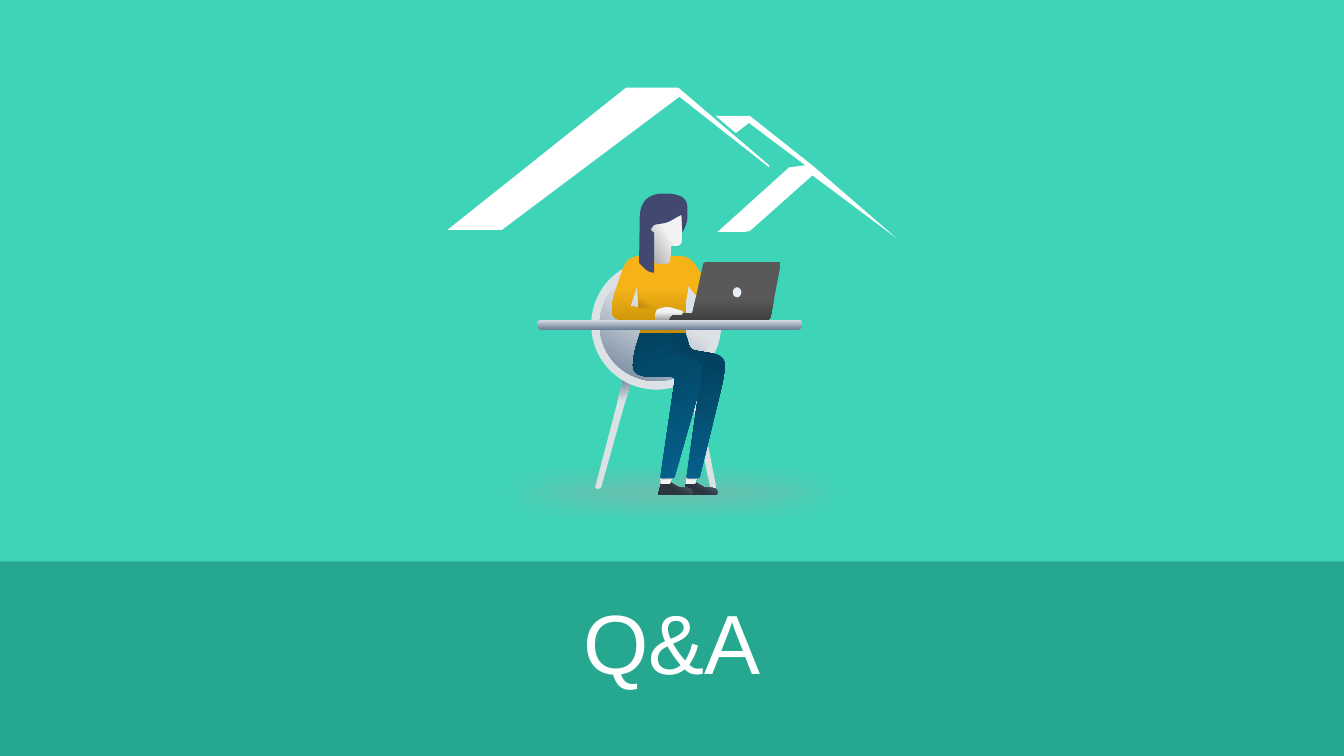
from math import dist

from lxml.etree import SubElement
from pptx import Presentation
from pptx.dml.color import RGBColor
from pptx.enum.shapes import MSO_SHAPE
from pptx.enum.text import MSO_ANCHOR, PP_ALIGN
from pptx.oxml.ns import qn
from pptx.util import Pt

GRID = 0.72  # points per grid unit of the drawing
BEND_STEPS = 8

COLORS = {
    "mint": "3ED4B7", "teal": "25A88F", "white": "FFFFFF", "shadow": "A6A6A6",
    "chair": "DCE1E6", "steel": "6A7E96", "skin": "F2F2F2", "hair": "414971",
    "yellow": "F5B317", "ochre": "C18A08", "laptop": "595959", "charcoal": "404040",
    "badge": "E8ECF4", "slate": "57687C", "shoe": "2C343E", "denim": "05638F",
    "navy": "034260", "blue": "034969", "black": "000000",
}

# Clockwise angle, then stops: position %, colour, opacity %
GRADIENTS = {
    "chair leg": (260, [(0, "chair", 100), (78, "chair", 100), (100, "steel", 100)]),
    "seat": (120, [(0, "chair", 100), (41, "chair", 100), (100, "steel", 100)]),
    "face": (150, [(0, "skin", 100), (41, "skin", 100), (100, "shadow", 100)]),
    "hand": (90, [(0, "skin", 100), (41, "skin", 100), (100, "shadow", 100)]),
    "ankle": (270, [(0, "skin", 100), (50, "skin", 100), (100, "shadow", 100)]),
    "blouse": (90, [(0, "yellow", 100), (41, "yellow", 100), (100, "ochre", 100)]),
    "lid": (90, [(0, "laptop", 100), (63, "laptop", 100), (100, "charcoal", 100)]),
    "leather": (120, [(0, "slate", 100), (55, "shoe", 100), (100, "shoe", 100)]),
    "far trousers": (250, [(0, "denim", 100), (72, "navy", 100), (100, "navy", 100)]),
    "near trousers": (250, [(0, "denim", 100), (72, "blue", 100), (100, "navy", 100)]),
    "desk": (90, [(0, "chair", 100), (100, "steel", 100)]),
    "sleeve shade": (130, [(0, "black", 0), (51, "black", 0), (100, "black", 20)]),
}


def paint(shape, fill):
    """Give a shape a plain or gradient fill, without line or shadow."""
    shape.shadow.inherit = False
    shape.line.fill.background()
    if fill in COLORS:
        shape.fill.solid()
        shape.fill.fore_color.rgb = RGBColor.from_string(COLORS[fill])
        return
    angle, stops = GRADIENTS[fill]
    shape.fill.gradient()
    shape.fill.gradient_angle = 360 - angle
    stop_list = shape._element.spPr.find(".//" + qn("a:gsLst"))
    for old_stop in list(stop_list):
        stop_list.remove(old_stop)
    for position, color, opacity in stops:
        stop = SubElement(stop_list, qn("a:gs"), pos=str(position * 1000))
        value = SubElement(stop, qn("a:srgbClr"), val=COLORS[color])
        SubElement(value, qn("a:alpha"), val=str(opacity * 1000))


def draw_outline(page, fill, *contours):
    """Draw closed contours of corners (x, y) or rounded corners (x, y, radius)."""
    builder = None
    for corners in contours:
        points = []
        for index, (x, y, *radius) in enumerate(corners):
            if not radius:
                points.append((x, y))
                continue
            ends = []
            for neighbour in (corners[index - 1], corners[(index + 1) % len(corners)]):
                side = dist((x, y), neighbour[:2])
                share = min(radius[0] / side, 0.5)
                ends.append((x + share * (neighbour[0] - x), y + share * (neighbour[1] - y)))
            (start_x, start_y), (end_x, end_y) = ends
            for step in range(BEND_STEPS + 1):
                t = step / BEND_STEPS
                before, middle, after = (1 - t) ** 2, 2 * t * (1 - t), t ** 2
                points.append((before * start_x + middle * x + after * end_x,
                               before * start_y + middle * y + after * end_y))
        places = [(Pt(GRID * x), Pt(GRID * y)) for x, y in points]
        if builder is None:
            builder = page.shapes.build_freeform(*places[0], scale=1.0)
        else:
            builder.move_to(*places[0])
        builder.add_line_segments(places[1:], close=True)
    paint(builder.convert_to_shape(), fill)


deck = Presentation()
deck.slide_width, deck.slide_height = Pt(960), Pt(540)
page = deck.slides.add_slide(deck.slide_layouts[6])
page.background.fill.solid()
page.background.fill.fore_color.rgb = RGBColor.from_string(COLORS["mint"])

band = page.shapes.add_shape(MSO_SHAPE.RECTANGLE, 0, Pt(401), Pt(960), Pt(139))
paint(band, "teal")

floor_shadow = page.shapes.add_shape(MSO_SHAPE.OVAL, Pt(246.2), Pt(328.3), Pt(467.3), Pt(46.8))
paint(floor_shadow, "shadow")
effects = floor_shadow._element.spPr.find(qn("a:effectLst"))
SubElement(effects, qn("a:softEdge"), rad=str(Pt(19)))

# Chair: two tapering legs and two concentric discs
for top_x, foot_x in ((686, 708), (622, 593)):
    draw_outline(page, "chair leg", [(top_x - 4, 378), (top_x + 4, 378),
                                     (foot_x + 3, 485, 3), (foot_x - 3, 485, 3)])
seat_x, seat_y = 651, 322
for radius, fill in ((64.5, "chair"), (56, "seat")):
    disc = page.shapes.add_shape(
        MSO_SHAPE.OVAL, Pt(GRID * (seat_x - radius)), Pt(GRID * (seat_y - radius)),
        Pt(GRID * 2 * radius), Pt(GRID * 2 * radius))
    paint(disc, fill)

# Upper body
face = [(677, 213), (645, 224, 4), (645, 231, 3), (648, 231),
        (649, 262, 6), (665, 262, 6), (665, 244, 2), (677, 244, 9)]
draw_outline(page, "face", face)
blouse = [(665, 254), (665, 262, 6), (649, 262, 6), (647, 254),
          (622, 254, 14), (608, 296, 6), (607, 317, 9), (635, 317),
          (635, 331), (680, 331), (680, 300), (683, 284),
          (691, 293), (696, 272), (684, 254, 12)]
arm_gap = [(634, 305), (625, 304, 2), (632, 284)]
draw_outline(page, "blouse", blouse, arm_gap)

# Laptop and the hand on it
laptop = [(698, 260, 3), (775, 260, 3), (764, 317, 3),
          (662, 317), (664, 311, 4), (687, 311)]
draw_outline(page, "lid", laptop)
hand = [(650, 317), (651, 307, 3), (662, 304, 5), (679, 309, 3),
        (676, 312), (666, 312, 3), (663, 317)]
draw_outline(page, "hand", hand)
badge = page.shapes.add_shape(MSO_SHAPE.OVAL, Pt(GRID * 727), Pt(GRID * 285),
                              Pt(GRID * 8.5), Pt(GRID * 10))
paint(badge, "badge")

# Feet, far one first, each measured from its heel
for heel in (678, 653):
    draw_outline(page, "leather", [(heel, 490.5), (heel + 3, 479), (heel + 13, 479),
                                   (heel + 21, 484, 4), (heel + 33, 484, 6),
                                   (heel + 34, 490.5, 2)])
    draw_outline(page, "ankle", [(heel + 3, 473), (heel + 14, 473),
                                 (heel + 12, 480, 1), (heel + 2, 480, 1)])

far_leg = [(660, 331), (680, 331), (685, 347, 5), (720, 353, 14), (718, 375, 10),
           (694, 474.5, 2), (681, 474.5, 2), (693, 390), (660, 360)]
draw_outline(page, "far trousers", far_leg)

desk = page.shapes.add_shape(MSO_SHAPE.ROUNDED_RECTANGLE, Pt(GRID * 533), Pt(GRID * 317),
                             Pt(GRID * 263), Pt(GRID * 10))
desk.adjustments[0] = 0.5
paint(desk, "desk")

hair = [(634, 261), (642, 269, 6), (649, 271, 2), (649, 231), (645, 228, 3), (649, 223, 2),
        (662, 221, 5), (676, 213), (677, 231), (682, 220, 6), (682, 192, 22), (635, 192, 24)]
draw_outline(page, "hair", hair)

near_leg = [(635, 331), (665, 331), (666, 350, 4), (697, 357, 12), (694, 386, 8),
            (669, 474.5, 2), (655, 474.5, 2), (670, 374, 4), (627, 374, 24), (629, 350, 8)]
draw_outline(page, "near trousers", near_leg)
draw_outline(page, "sleeve shade", [(634, 305), (633, 291), (653, 307)])

# Title over the band
box = page.shapes.add_textbox(0, Pt(417.6), Pt(960), Pt(80))
box.text_frame.word_wrap = True
box.text_frame.vertical_anchor = MSO_ANCHOR.MIDDLE
title = box.text_frame.paragraphs[0]
title.text = "Q&A"
title.alignment = PP_ALIGN.CENTER
title.font.name = "Arial"
title.font.size = Pt(60)
title.font.color.rgb = RGBColor.from_string(COLORS["white"])

# Roofs above the figure
front_roof = [(444, 228), (621, 87), (673, 87), (763, 164), (763, 166), (674, 96), (498, 228)]
back_roof = [(889, 236), (806, 174), (743, 230, 4), (712, 230), (783, 166), (799, 164),
             (743, 122), (730, 132), (710, 115), (744, 115), (807, 165)]
for roof in (front_roof, back_roof):
    draw_outline(page, "white", roof)

deck.save("out.pptx")
